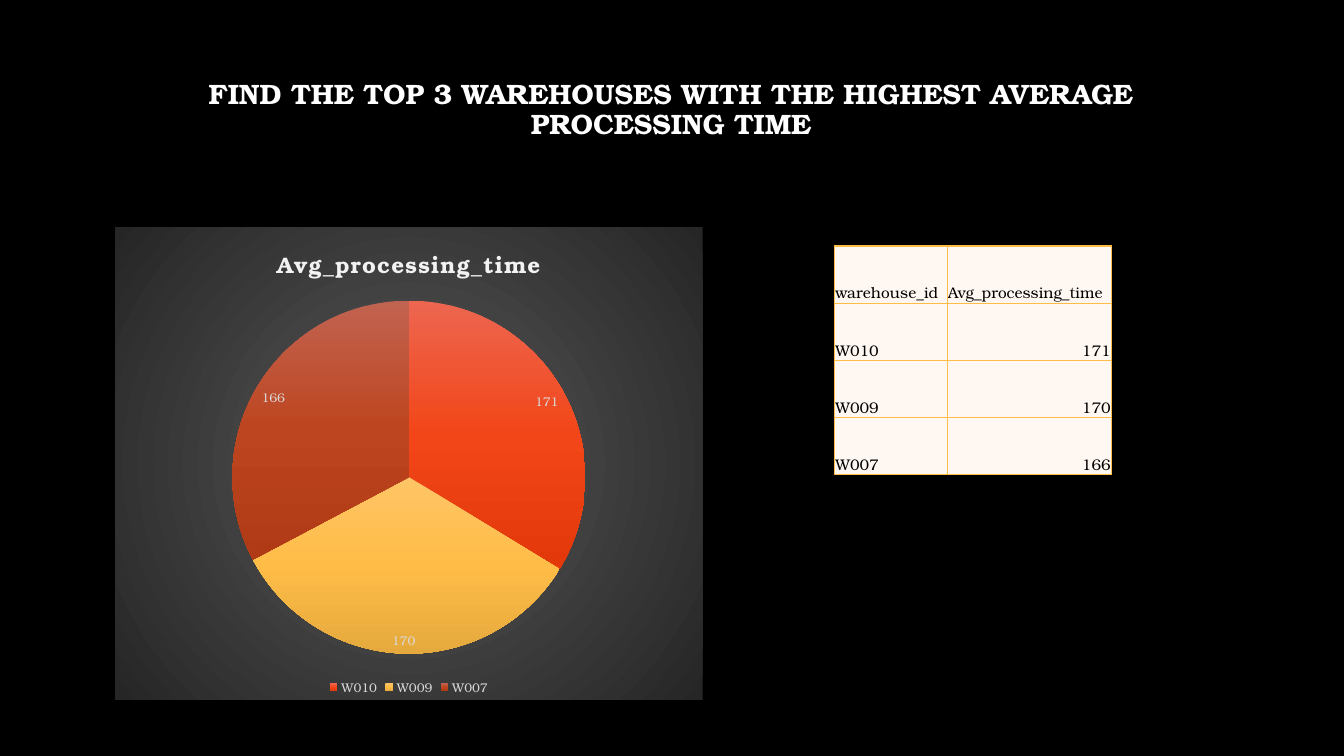
from lxml import etree
from pptx import Presentation
from pptx.chart.data import CategoryChartData
from pptx.dml.color import RGBColor
from pptx.enum.chart import XL_CHART_TYPE, XL_LABEL_POSITION, XL_LEGEND_POSITION
from pptx.enum.text import MSO_ANCHOR, PP_ALIGN
from pptx.oxml import parse_xml
from pptx.oxml.ns import nsdecls, qn
from pptx.util import Cm, Pt

PIE = XL_CHART_TYPE.PIE
BEST_FIT = XL_LABEL_POSITION.BEST_FIT
LEGEND_BOTTOM = XL_LEGEND_POSITION.BOTTOM
MIDDLE, BOTTOM = MSO_ANCHOR.MIDDLE, MSO_ANCHOR.BOTTOM
CENTER, LEFT, RIGHT = PP_ALIGN.CENTER, PP_ALIGN.LEFT, PP_ALIGN.RIGHT

FACE = "TeX Gyre Bonum"
METRIC = "Avg_processing_time"
WAREHOUSES = {"W010": 171, "W009": 170, "W007": 166}
SLICE_COLOURS = [
    ("ED6650", "F24618", "E2380A"),
    ("FFC466", "FFBD47", "E5A93D"),
    ("C16351", "BD451F", "AF3A15"),
]
LINEAR_DOWN = '<a:lin ang="5400000" scaled="0"/>'
FROM_CENTRE = ('<a:path path="circle"><a:fillToRect l="50000" t="50000" '
               'r="50000" b="50000"/></a:path>')


def style(font, size, colour, bold=False):
    font.name, font.size, font.bold = FACE, Pt(size), bold
    font.color.rgb = RGBColor.from_string(colour)


def gradient(colours, direction):
    step = 100000 // (len(colours) - 1)
    stops = "".join(f'<a:gs pos="{i * step}"><a:srgbClr val="{colour}"/></a:gs>'
                    for i, colour in enumerate(colours))
    return parse_xml(f'<a:gradFill {nsdecls("a")} rotWithShape="1">'
                     f'<a:gsLst>{stops}</a:gsLst>{direction}</a:gradFill>')


prs = Presentation()
prs.slide_width, prs.slide_height = Cm(33.87), Cm(19.05)
slide = prs.slides.add_slide(prs.slide_layouts[6])
slide.background.fill.solid()
slide.background.fill.fore_color.rgb = RGBColor.from_string("000000")

# Heading, raised within its box by the bottom margin
heading = slide.shapes.add_textbox(Cm(2.54), Cm(1.7), Cm(28.75), Cm(3.68)).text_frame
heading.word_wrap = True
heading.vertical_anchor = MIDDLE
heading.margin_bottom = Cm(1.65)
question = heading.paragraphs[0]
question.text = "FIND THE TOP 3 WAREHOUSES WITH THE HIGHEST AVERAGE PROCESSING TIME"
question.alignment = CENTER
question.line_spacing = 0.9
style(question.font, 20, "FFFFFF", True)

# Pie of processing times
times = CategoryChartData()
times.categories = list(WAREHOUSES)
times.add_series(METRIC, list(WAREHOUSES.values()))
chart = slide.shapes.add_chart(PIE, Cm(2.9), Cm(5.72), Cm(14.81), Cm(11.91), times).chart
style(chart.font, 10, "FFFFFF")
chart.has_title = True
chart_title = chart.chart_title.text_frame.paragraphs[0]
chart_title.text = METRIC
style(chart_title.font, 16, "F2F2F2", True)
chart_title.runs[0].font.bold = True
for props in chart.element.iter(qn("a:defRPr"), qn("a:rPr")):
    if props.get("b") == "1":
        props.set("spc", "100")

chart.has_legend = True
chart.legend.position = LEGEND_BOTTOM
chart.legend.include_in_layout = False
style(chart.legend.font, 9, "D9D9D9")

pie = chart.plots[0]
pie.vary_by_categories = True
pie.has_data_labels = True
pie.data_labels.show_value = True
pie.data_labels.show_percentage = False
pie.data_labels.position = BEST_FIT
style(pie.data_labels.font, 9, "D9D9D9")

# Gradient slices
for i in range(len(SLICE_COLOURS)):
    pie.series[0].points[i].format.fill.solid()
for point, colours in zip(chart.element.iter(qn("c:dPt")), SLICE_COLOURS):
    slice_props = point.find(qn("c:spPr"))
    slice_props.replace(slice_props.find(qn("a:solidFill")), gradient(colours, LINEAR_DOWN))

# Square-cornered chart area with a radial gradient
plot_root = chart.element.find(qn("c:chart"))
corners = etree.Element(qn("c:roundedCorners"), val="0")
plot_root.addprevious(corners)
area = parse_xml(f'<c:spPr {nsdecls("c", "a")}><a:ln><a:noFill/></a:ln></c:spPr>')
area.insert(0, gradient(("595959", "262626"), FROM_CENTRE))
plot_root.addnext(area)

# Table of the same values
rows = [("warehouse_id", METRIC)] + [(name, str(t)) for name, t in WAREHOUSES.items()]
table = slide.shapes.add_table(len(rows), 2, Cm(21.03), Cm(6.2), Cm(6.98), Cm(5.77)).table
table.columns[0].width, table.columns[1].width = Cm(2.84), Cm(4.14)
for r, row in enumerate(rows):
    table.rows[r].height = Cm(1.44)
    for c, value in enumerate(row):
        cell = table.cell(r, c)
        cell.text = value
        cell.vertical_anchor = BOTTOM
        cell.margin_left = cell.margin_right = cell.margin_top = Cm(0.02)
        cell.margin_bottom = 0
        entry = cell.text_frame.paragraphs[0]
        entry.alignment = RIGHT if r and c else LEFT
        style(entry.font, 11, "000000")
        cell.fill.solid()
        cell.fill.fore_color.rgb = RGBColor.from_string("FFF7F1")
        cell_props = cell.fill._xPr
        for i, side in enumerate(("lnL", "lnR", "lnT", "lnB")):
            cell_props.insert(i, parse_xml(
                f'<a:{side} {nsdecls("a")} w="12700"><a:solidFill>'
                f'<a:srgbClr val="FFBD47"/></a:solidFill></a:{side}>'))

prs.save("out.pptx")
